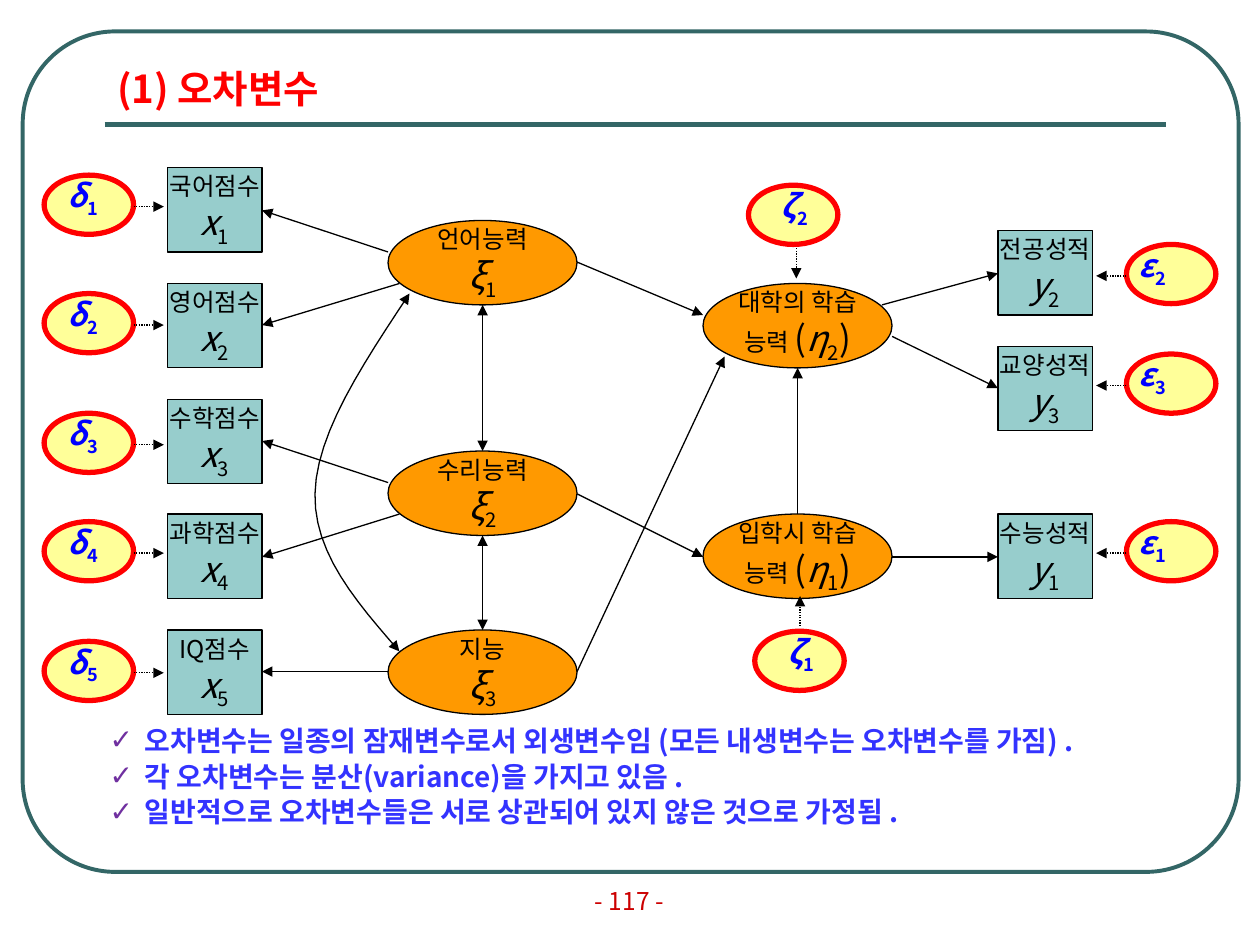
"""Build the slide on error variables in a structural equation model."""
from dataclasses import dataclass

from lxml import etree
from pptx import Presentation
from pptx.dml.color import RGBColor
from pptx.enum.dml import MSO_LINE
from pptx.enum.shapes import MSO_CONNECTOR, MSO_SHAPE
from pptx.enum.text import MSO_ANCHOR, MSO_AUTO_SIZE, PP_ALIGN
from pptx.oxml.ns import qn
from pptx.util import Inches, Pt

RECT, OVAL, FRAME = MSO_SHAPE.RECTANGLE, MSO_SHAPE.OVAL, MSO_SHAPE.ROUNDED_RECTANGLE
STRAIGHT, DOTTED = MSO_CONNECTOR.STRAIGHT, MSO_LINE.ROUND_DOT
LEFT, CENTER, JUSTIFY = PP_ALIGN.LEFT, PP_ALIGN.CENTER, PP_ALIGN.JUSTIFY
MIDDLE, BOTTOM = MSO_ANCHOR.MIDDLE, MSO_ANCHOR.BOTTOM
FIXED, GROW = MSO_AUTO_SIZE.NONE, MSO_AUTO_SIZE.SHAPE_TO_FIT_TEXT
FONT = "Noto Sans CJK KR"
TEAL, BLACK, RED = "336666", "000000", "FF0000"


@dataclass
class Variable:
    left: float
    top: float
    caption: str
    symbol: str
    index: int
    prefix: str = ""


@dataclass
class ErrorTerm:
    left: float
    top: float
    symbol: str
    index: int
    label_left: float
    arrow: tuple


OBSERVED = [
    Variable(1.33, 1.33, "국어점수", "x", 1),
    Variable(1.33, 2.25, "영어점수", "x", 2),
    Variable(1.33, 3.17, "수학점수", "x", 3),
    Variable(1.33, 4.08, "과학점수", "x", 4),
    Variable(1.33, 5, "IQ점수", "x", 5),
    Variable(7.92, 1.83, "전공성적", "y", 2),
    Variable(7.92, 2.75, "교양성적", "y", 3),
    Variable(7.92, 4.08, "수능성적", "y", 1),
]
LATENT = [
    Variable(3.08, 1.75, "언어능력", "ξ", 1),
    Variable(3.08, 3.58, "수리능력", "ξ", 2),
    Variable(3.08, 5, "지능", "ξ", 3),
    Variable(5.58, 2.25, "대학의 학습", "η", 2, "능력 "),
    Variable(5.58, 4.08, "입학시 학습", "η", 1, "능력 "),
]
DELTA_TOPS = [1.39, 2.33, 3.28, 4.14, 5.09]
EPSILON_TOPS = {2: 1.94, 3: 2.81, 1: 4.14}
ERRORS = [
    ErrorTerm(0.35, top, "δ", index, 0.44, (1.06, top + 0.25, 1.3, top + 0.25))
    for index, top in enumerate(DELTA_TOPS, 1)
] + [
    ErrorTerm(8.94, top, "ε", index, 8.94, (8.94, top + 0.25, 8.7, top + 0.25))
    for index, top in EPSILON_TOPS.items()
] + [
    ErrorTerm(5.94, 1.47, "ζ", 2, 6.1, (6.32, 1.97, 6.32, 2.21)),
    ErrorTerm(5.99, 5.01, "ζ", 1, 6.15, (6.35, 4.97, 6.35, 4.73)),
]
EFFECTS = [
    (3.08, 2, 2.08, 1.67), (3.17, 2.25, 2.08, 2.58),
    (3.08, 3.83, 2.08, 3.5), (3.17, 4.08, 2.08, 4.42),
    (3.08, 5.33, 2.08, 5.33), (7, 2.42, 7.92, 2.17),
    (7.08, 2.67, 7.92, 3.08), (7.08, 4.42, 7.92, 4.42),
    (4.58, 2.08, 5.58, 2.5), (4.58, 5.33, 5.75, 2.83),
    (4.58, 3.92, 5.58, 4.42), (6.33, 4.08, 6.33, 2.92),
]
CORRELATIONS = [(3.83, 2.42, 3.83, 3.58), (3.83, 4.25, 3.83, 5)]
CORRELATION_CURVE = [
    [(3.25, 2.33), (2.88, 2.89), (2.51, 3.44), (2.5, 3.92)],
    [(2.5, 3.92), (2.49, 4.39), (2.83, 4.78), (3.17, 5.17)],
]
NOTES = [
    "오차변수는 일종의 잠재변수로서 외생변수임 (모든 내생변수는 오차변수를 가짐) .",
    "각 오차변수는 분산(variance)을 가지고 있음 .",
    "일반적으로 오차변수들은 서로 상관되어 있지 않은 것으로 가정됨 .",
]


def rgb(value: str) -> RGBColor:
    return RGBColor.from_string(value)


def set_format(target, formats: dict) -> None:
    for name, value in formats.items():
        setattr(target, name, value)


def add_run(paragraph, text: str, size: float, color: str, subscript=False, **formats) -> None:
    run = paragraph.add_run()
    run.text = text
    set_format(run.font, {"name": FONT, "size": Pt(size), **formats})
    run.font.color.rgb = rgb(color)
    properties = run._r.get_or_add_rPr()
    etree.SubElement(properties, qn("a:ea")).set("typeface", FONT)
    if subscript:
        properties.set("baseline", "-25000")


def add_symbol(paragraph, symbol: str, index: int, size: float, color: str, **formats) -> None:
    add_run(paragraph, symbol, size, color, italic=True, **formats)
    add_run(paragraph, str(index), size, color, subscript=True, **formats)


def style_line(shape, color: str, width: float) -> None:
    shape.line.color.rgb = rgb(color)
    shape.line.width = Pt(width)


def add_node(slide, kind, box: tuple, fill: str, color: str, width: float):
    node = slide.shapes.add_shape(kind, *map(Inches, box))
    node.shadow.inherit = False
    if fill:
        node.fill.solid()
        node.fill.fore_color.rgb = rgb(fill)
    else:
        node.fill.background()
    style_line(node, color, width)
    return node


def add_tips(shape, tips: tuple) -> None:
    line = shape.line._get_or_add_ln()
    for tip in tips:
        etree.SubElement(line, qn(f"a:{tip}")).set("type", "triangle")


def add_line(slide, ends: tuple, color=BLACK, width=0.75, tips=(), dotted=False) -> None:
    line = slide.shapes.add_connector(STRAIGHT, *map(Inches, ends))
    style_line(line, color, width)
    if dotted:
        line.line.dash_style = DOTTED
    add_tips(line, tips)
    etree.SubElement(line._element.spPr, qn("a:effectLst"))


def add_variable(slide, kind, width: float, fill: str, variable: Variable) -> None:
    box = (variable.left, variable.top, width, 0.67)
    frame = add_node(slide, kind, box, fill, BLACK, 0.75).text_frame
    set_format(frame, {"word_wrap": False, "vertical_anchor": MIDDLE})
    caption, formula = frame.paragraphs[0], frame.add_paragraph()
    caption.alignment = formula.alignment = CENTER
    add_run(caption, variable.caption, 14, BLACK)
    if variable.prefix:
        add_run(formula, variable.prefix, 14, BLACK)
        add_run(formula, "(", 20, BLACK)
    add_symbol(formula, variable.symbol, variable.index, 20, BLACK)
    if variable.prefix:
        add_run(formula, ")", 20, BLACK)


def add_error(slide, error: ErrorTerm) -> None:
    add_node(slide, OVAL, (error.left, error.top, 0.71, 0.47), "FFFF99", RED, 3)
    label = slide.shapes.add_textbox(*map(Inches, (error.label_left, error.top, 0.54, 0.4)))
    set_format(label.text_frame, {"word_wrap": False, "vertical_anchor": BOTTOM, "auto_size": GROW})
    add_symbol(label.text_frame.paragraphs[0], error.symbol, error.index, 18, "0000FF", bold=True)
    add_line(slide, error.arrow, tips=("tailEnd",), dotted=True)


def bezier(controls: list, t: float) -> tuple:
    weights = ((1 - t) ** 3, 3 * t * (1 - t) ** 2, 3 * t * t * (1 - t), t ** 3)
    return tuple(Inches(sum(w * p[axis] for w, p in zip(weights, controls))) for axis in (0, 1))


def add_curve(slide) -> None:
    start, *points = [bezier(part, step / 12) for part in CORRELATION_CURVE for step in range(13)]
    builder = slide.shapes.build_freeform(*start)
    builder.add_line_segments(points, close=False)
    curve = builder.convert_to_shape()
    curve.shadow.inherit = False
    curve.fill.background()
    style_line(curve, BLACK, 0.75)
    add_tips(curve, ("headEnd", "tailEnd"))


def place(shape, box: tuple) -> None:
    set_format(shape, dict(zip(("left", "top", "width", "height"), map(Inches, box))))


def add_notes_list(body) -> None:
    place(body, (0.77, 5.72, 8.68, 1.14))
    frame = body.text_frame
    frame.auto_size = FIXED
    for number, note in enumerate(NOTES):
        paragraph = frame.add_paragraph() if number else frame.paragraphs[0]
        set_format(paragraph, {"level": 1, "alignment": JUSTIFY, "line_spacing": 0.9,
                               "space_before": Pt(3.2 if number else 0)})
        properties = paragraph._p.get_or_add_pPr()
        properties.set("marL", str(Inches(0.28)))
        properties.set("indent", str(Inches(-0.28)))
        bullet_color = etree.SubElement(properties, qn("a:buClr"))
        etree.SubElement(bullet_color, qn("a:srgbClr")).set("val", "7030A0")
        etree.SubElement(properties, qn("a:buChar")).set("char", "✓")
        add_run(paragraph, note, 16, "3333FF", bold=True)


def main() -> None:
    deck = Presentation()
    set_format(deck, {"slide_width": Inches(10), "slide_height": Inches(7.5)})
    slide = deck.slides.add_slide(deck.slide_layouts[1])
    title, body = slide.placeholders
    place(title, (0.83, 0.36, 8.42, 0.57))
    set_format(title.text_frame, {"vertical_anchor": BOTTOM, "auto_size": FIXED})
    title.text_frame.paragraphs[0].alignment = LEFT
    add_run(title.text_frame.paragraphs[0], "(1) 오차변수", 22, RED, bold=True)
    add_notes_list(body)
    add_node(slide, FRAME, (0.18, 0.25, 9.65, 6.67), "", TEAL, 2.25).adjustments[0] = 0.11
    add_line(slide, (0.83, 0.99, 9.25, 0.99), TEAL, 3)
    page = slide.shapes.add_textbox(*map(Inches, (4.12, 6.9, 1.75, 0.5))).text_frame
    set_format(page, {"word_wrap": True, "vertical_anchor": MIDDLE})
    page.paragraphs[0].alignment = CENTER
    add_run(page.paragraphs[0], "- 117 -", 14, "CC0000")
    for variable in OBSERVED:
        add_variable(slide, RECT, 0.75, "97CDCC", variable)
    for variable in LATENT:
        add_variable(slide, OVAL, 1.5, "FF9900", variable)
    for effect in EFFECTS:
        add_line(slide, effect, tips=("tailEnd",))
    for correlation in CORRELATIONS:
        add_line(slide, correlation, tips=("headEnd", "tailEnd"))
    add_curve(slide)
    for error in ERRORS:
        add_error(slide, error)
    deck.save("out.pptx")


if __name__ == "__main__":
    main()
